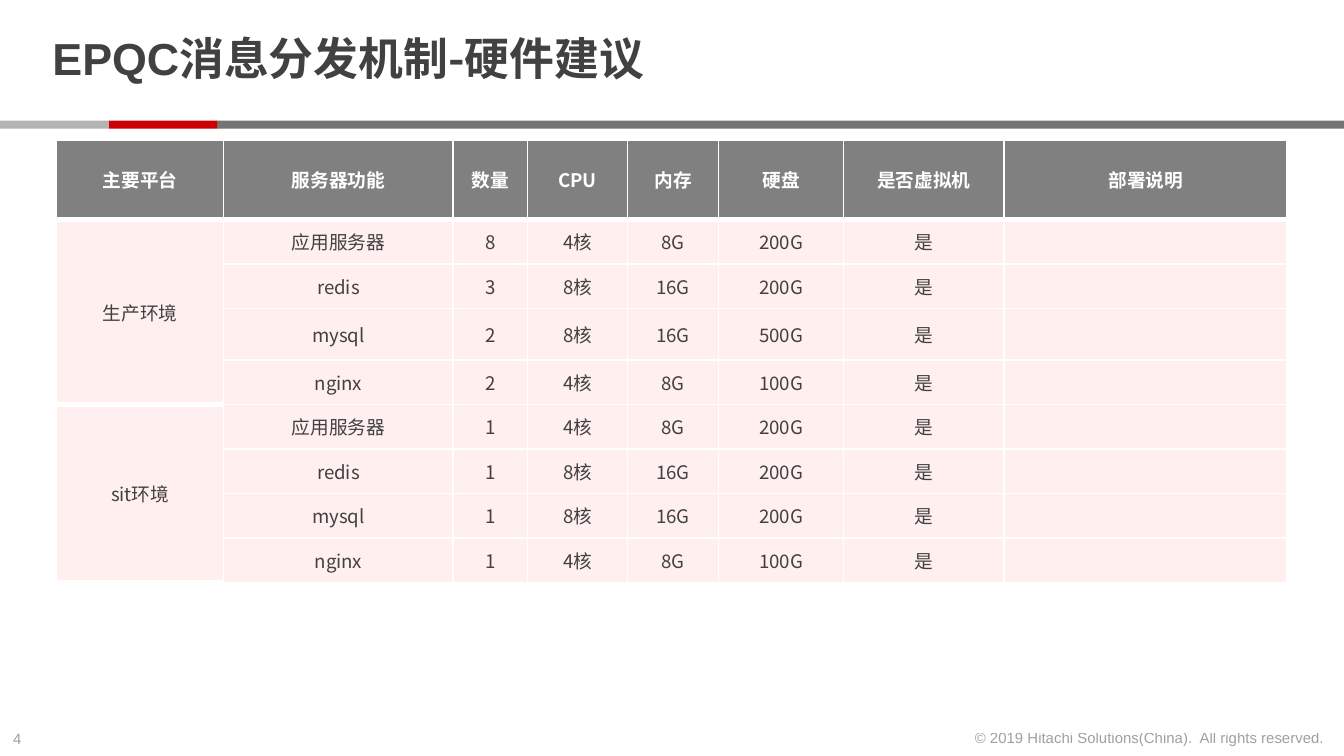
from pptx import Presentation
from pptx.dml.color import RGBColor
from pptx.enum.shapes import MSO_SHAPE
from pptx.enum.text import MSO_ANCHOR, MSO_AUTO_SIZE, PP_ALIGN
from pptx.oxml.ns import qn
from pptx.oxml.xmlchemy import OxmlElement
from pptx.util import Pt

RECT = MSO_SHAPE.RECTANGLE
MIDDLE = MSO_ANCHOR.MIDDLE
LEFT, CENTER, RIGHT = PP_ALIGN.LEFT, PP_ALIGN.CENTER, PP_ALIGN.RIGHT
NO_AUTOFIT = MSO_AUTO_SIZE.NONE

HEADERS = ["主要平台", "服务器功能", "数量", "CPU", "内存", "硬盘", "是否虚拟机", "部署说明"]
COL_WIDTHS = [89.5, 123, 39.8, 53.6, 48.8, 67, 86, 151.6]
ENVIRONMENTS = {
    "生产环境": [
        ("应用服务器", "8", "4核", "8G", "200G"),
        ("redis", "3", "8核", "16G", "200G"),
        ("mysql", "2", "8核", "16G", "500G"),
        ("nginx", "2", "4核", "8G", "100G"),
    ],
    "sit环境": [
        ("应用服务器", "1", "4核", "8G", "200G"),
        ("redis", "1", "8核", "16G", "200G"),
        ("mysql", "1", "8核", "16G", "200G"),
        ("nginx", "1", "4核", "8G", "100G"),
    ],
}
HEADER_HEIGHT, ROW_HEIGHT, TALL_ROW_HEIGHT = 42.6, 23.85, 27.6
TALL_ROW = 3


def rgb(value):
    return RGBColor.from_string(value)


def add_text(p, text, font="Arial", size=10, color="414141", bold=False, align=LEFT, alpha=None):
    p.alignment = align
    r = p.add_run()
    r.text = text
    r.font.name, r.font.size, r.font.bold = font, Pt(size), bold
    r.font.color.rgb = rgb(color)
    rPr = r.font._element
    ea = OxmlElement("a:ea")
    ea.set("typeface", Slide.cjk)
    rPr.find(qn("a:latin")).addnext(ea)
    if alpha is not None:
        el = OxmlElement("a:alpha")
        el.set("val", str(alpha * 1000))
        rPr.find(qn("a:solidFill"))[0].append(el)


class Slide:
    cjk = "Noto Sans CJK SC"
    dark, white, header_fill, body_fill = "414141", "FFFFFF", "808080", "FFEFEF"

    def __init__(self, prs):
        self.s = prs.slides.add_slide(prs.slide_layouts[5])

    def title(self, parts, x, y, w, h):
        sp = self.s.shapes.title
        sp.left, sp.top, sp.width, sp.height = Pt(x), Pt(y), Pt(w), Pt(h)
        tf = sp.text_frame
        tf.auto_size, tf.vertical_anchor, tf.word_wrap = NO_AUTOFIT, MIDDLE, True
        tf.margin_top = tf.margin_bottom = 0
        p = tf.paragraphs[0]
        p.line_spacing = 0.85
        for text, font in parts:
            add_text(p, text, font=font, size=24, color=self.dark, bold=True)

    def bar(self, x, y, w, h, color):
        sp = self.s.shapes.add_shape(RECT, Pt(x), Pt(y), Pt(w), Pt(h))
        sp.shadow.inherit = False
        sp.fill.solid()
        sp.fill.fore_color.rgb = rgb(color)
        sp.line.fill.background()

    def small_print(self, text, x, y, w, h, align=LEFT):
        tf = self.s.shapes.add_textbox(Pt(x), Pt(y), Pt(w), Pt(h)).text_frame
        tf.word_wrap = False
        add_text(tf.paragraphs[0], text, size=8, color=self.dark, align=align, alpha=50)

    def borders(self, cell, top, bottom):
        tcPr = cell._tc.get_or_add_tcPr()
        for i, (side, width) in enumerate((("L", 1), ("R", 1), ("T", top), ("B", bottom))):
            ln = OxmlElement(f"a:ln{side}")
            ln.set("w", str(Pt(width)))
            fill, clr = OxmlElement("a:solidFill"), OxmlElement("a:srgbClr")
            clr.set("val", self.white)
            fill.append(clr)
            ln.append(fill)
            tcPr.insert(i, ln)

    def cell(self, cell, text, header, top, bottom):
        cell.fill.solid()
        cell.fill.fore_color.rgb = rgb(self.header_fill if header else self.body_fill)
        cell.vertical_anchor = MIDDLE
        self.borders(cell, top, bottom)
        p = cell.text_frame.paragraphs[0]
        if text:
            add_text(p, text, font=self.cjk, color=self.white if header else self.dark,
                     bold=header, align=CENTER)
        else:
            # Small end mark keeps an empty cell from stretching its row
            end = OxmlElement("a:endParaRPr")
            end.set("sz", "1000")
            p._p.append(end)

    def table(self, rows, x, y, widths, heights, group_size):
        frame = self.s.shapes.add_table(len(rows), len(widths), Pt(x), Pt(y),
                                        Pt(sum(widths)), Pt(sum(heights)))
        tbl = frame.table
        for col, width in zip(tbl.columns, widths):
            col.width = Pt(width)
        for row, height in zip(tbl.rows, heights):
            row.height = Pt(height)
        for i, row in enumerate(rows):
            for j, text in enumerate(row):
                group = j == 0 and i > 0
                self.cell(tbl.cell(i, j), text, header=i == 0,
                          top=3 if i == 1 or group else 1,
                          bottom=3 if i == 0 or group else 1)
        for i in range(1, len(rows), group_size):
            tbl.cell(i, 0).merge(tbl.cell(i + group_size - 1, 0))


def main():
    prs = Presentation()
    prs.slide_width, prs.slide_height = Pt(720), Pt(405)
    slide = Slide(prs)

    # Page number, divider and copyright line
    slide.small_print("4", 0, 387.2, 24.5, 17)
    for x, w, color in ((116.4, 603.6, "737373"), (58.2, 58.2, "CC0000"), (0, 58.2, "B3B3B3")):
        slide.bar(x, 64.6, w, 4.3, color)
    slide.small_print("© 2019 Hitachi Solutions(China).\u00a0 All rights reserved.",
                      512.4, 387, 204.3, 17, align=RIGHT)

    # Title
    slide.title([("EPQC消息分发机制", "Arial"), ("-硬件建议", Slide.cjk)], 20.9, 4.3, 555, 57.6)

    # Server table: one merged platform cell per environment
    rows = [HEADERS]
    for name, servers in ENVIRONMENTS.items():
        for i, server in enumerate(servers):
            rows.append(["" if i else name, *server, "是", ""])
    heights = [HEADER_HEIGHT] + [ROW_HEIGHT] * (len(rows) - 1)
    heights[TALL_ROW] = TALL_ROW_HEIGHT
    slide.table(rows, 30.3, 75, COL_WIDTHS, heights, group_size=4)

    prs.save("out.pptx")


if __name__ == "__main__":
    main()
